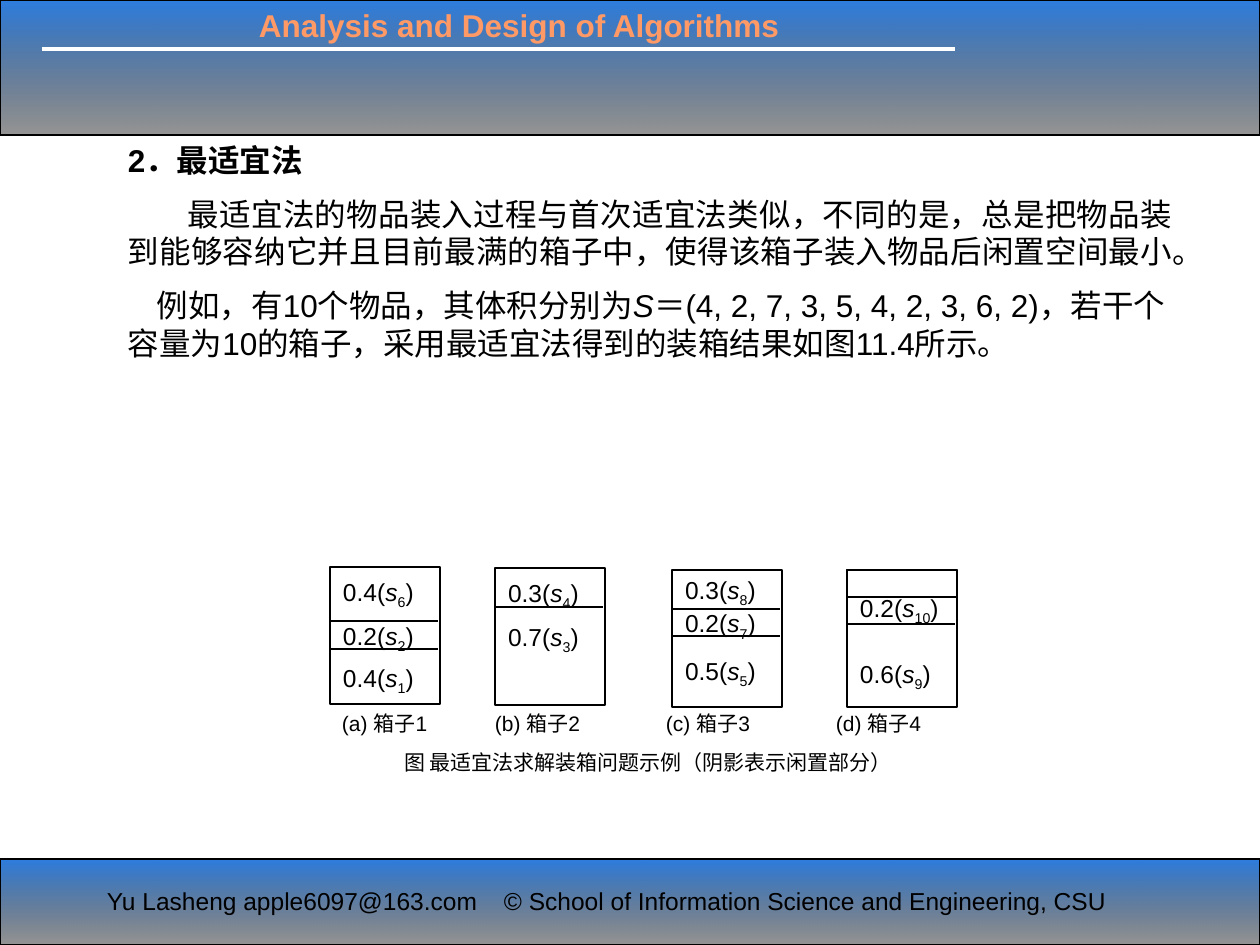
from dataclasses import dataclass
from typing import NamedTuple

from pptx import Presentation, util as u
from pptx.dml.color import RGBColor
from pptx.enum import shapes, text
from pptx.oxml import ns, xmlchemy as x

EMU_PER_PX = 914400 / 126


@dataclass(frozen=True)
class Theme:
    black: str = "000000"
    white: str = "FFFFFF"
    title: str = "FF9966"
    band: tuple = (("0E6BDC", 88), ("000000", 41))
    latin: str = "Arial"
    cjk: str = "Noto Sans CJK SC"
    body: int = 18
    label: int = 14
    caption: int = 12
    rule: float = 2.25
    thin: float = 0.75


class Item(NamedTuple):
    volume: str
    index: str
    gap: float = 0


class Insets(NamedTuple):
    left: int = 13
    top: int = 6
    right: int = 13
    bottom: int = 6


@dataclass(frozen=True)
class Bin:
    x: int
    y: int
    inset: int
    items: tuple[Item, ...]
    dividers: tuple[int, ...]
    free: int = 0


THEME = Theme()
BIN_W, BIN_H = 110, 137
BINS = (
    Bin(330, 567, 10, (Item("0.4", "6", 6), Item("0.2", "2", 5), Item("0.4", "1")), (621, 649)),
    Bin(495, 568, 10, (Item("0.3", "4", 6), Item("0.7", "3")), (607,)),
    Bin(672, 570, 5, (Item("0.3", "8"), Item("0.2", "7", 8), Item("0.5", "5")), (609, 636)),
    Bin(847, 570, 23, (Item("0.2", "10", 18.5), Item("0.6", "9")), (624,), 27),
)
LABEL_TABS = (153, 324, 494)


def px(n: int) -> int:
    return round(n * EMU_PER_PX)


def set_all(target, **values) -> None:
    for name, value in values.items():
        setattr(target, name, value)


def place(sp, left: int, top: int, width: int, height: int) -> None:
    set_all(sp, left=px(left), top=px(top), width=px(width), height=px(height))


def frame(sp, insets: Insets = Insets()):
    tf = sp.text_frame
    set_all(tf, word_wrap=True, auto_size=text.MSO_AUTO_SIZE.NONE,
            vertical_anchor=text.MSO_ANCHOR.TOP,
            margin_left=px(insets.left), margin_top=px(insets.top),
            margin_right=px(insets.right), margin_bottom=px(insets.bottom))
    return tf


def paragraph(tf, first: bool, align=text.PP_ALIGN.LEFT, before: float = 0, after: float = 0):
    p = tf.paragraphs[0] if first else tf.add_paragraph()
    set_all(p, alignment=align, space_before=u.Pt(before), space_after=u.Pt(after))
    return p


def run(p, words: str, size: int, color: str = THEME.black, bold: bool = False,
        italic: bool = False, subscript: bool = False) -> None:
    r = p.add_run()
    r.text = words
    set_all(r.font, name=THEME.latin, size=u.Pt(size), bold=bold, italic=italic)
    r.font.color.rgb = RGBColor.from_string(color)
    props = r._r.get_or_add_rPr()
    if subscript:
        props.set("baseline", "-25000")
    ea = x.OxmlElement("a:ea")
    ea.set("typeface", THEME.cjk)
    props.append(ea)


def rectangle(s, left: int, top: int, width: int, height: int):
    """Add an unfilled rectangle with a thin black outline."""
    sp = s.shapes.add_shape(shapes.MSO_SHAPE.RECTANGLE, 0, 0, 0, 0)
    place(sp, left, top, width, height)
    sp.shadow.inherit = False
    sp.fill.background()
    sp.line.color.rgb = RGBColor.from_string(THEME.black)
    sp.line.width = u.Pt(THEME.thin)
    return sp


def line(s, left: int, right: int, y: int, color: str, weight: float) -> None:
    c = s.shapes.add_connector(shapes.MSO_CONNECTOR.STRAIGHT, px(left), px(y), px(right), px(y))
    c.line.color.rgb = RGBColor.from_string(color)
    c.line.width = u.Pt(weight)
    c._element.spPr.append(x.OxmlElement("a:effectLst"))


def band(s, top: int, height: int) -> None:
    sp = rectangle(s, 0, top, 1260, height)
    sp.fill.gradient()
    sp.fill.gradient_angle = 270
    for stop, (color, _) in zip(sp.fill.gradient_stops, THEME.band):
        stop.color.rgb = RGBColor.from_string(color)
    grad = sp._element.spPr.find(ns.qn("a:gradFill"))
    for node, (_, opacity) in zip(grad.iter(ns.qn("a:srgbClr")), THEME.band):
        alpha = x.OxmlElement("a:alpha")
        alpha.set("val", str(opacity * 1000))
        node.append(alpha)


def text_box(s, left: int, top: int, width: int, height: int, insets: Insets = Insets()):
    return frame(s.shapes.add_textbox(px(left), px(top), px(width), px(height)), insets)


def add_title(s) -> None:
    title = s.shapes.title
    s.shapes._spTree.append(title._element)  # in front of the band
    place(title, 246, 0, 630, 50)
    p = paragraph(frame(title), True)
    run(p, "Analysis and Design of Algorithms", THEME.body, THEME.title, bold=True)


def add_body(s) -> None:
    tf = text_box(s, 115, 135, 1071, 280)
    justify = text.PP_ALIGN.JUSTIFY
    run(paragraph(tf, True, justify), "2．最适宜法", THEME.body, bold=True)
    method = paragraph(tf, False, justify, before=9)
    run(method, "最适宜法的物品装入过程与首次适宜法类似，不同的是，总是把物品装到能够容纳它"
                "并且目前最满的箱子中，使得该箱子装入物品后闲置空间最小。", THEME.body)
    example = paragraph(tf, False, before=9)
    run(example, "例如，有10个物品，其体积分别为", THEME.body)
    run(example, "S", THEME.body, italic=True)
    run(example, "＝(4, 2, 7, 3, 5, 4, 2, 3, 6, 2)，若干个容量为10的箱子，"
                 "采用最适宜法得到的装箱结果如图11.4所示。", THEME.body)
    for p, indent in ((method, 60), (example, 29)):
        p._p.get_or_add_pPr().set("indent", str(px(indent)))


def add_bin(s, b: Bin) -> None:
    tf = frame(rectangle(s, b.x, b.y, BIN_W, BIN_H), Insets(top=b.inset))
    for i, item in enumerate(b.items):
        p = paragraph(tf, i == 0, text.PP_ALIGN.JUSTIFY, after=item.gap)
        run(p, f"{item.volume}(", THEME.label)
        run(p, "s", THEME.label, italic=True)
        run(p, item.index, THEME.label, subscript=True)
        run(p, ")", THEME.label)
    for y in b.dividers:
        line(s, b.x, b.x + BIN_W - 2, y, THEME.black, THEME.thin)
    if b.free:
        rectangle(s, b.x, b.y, BIN_W, b.free)


def add_caption(s) -> None:
    tf = text_box(s, 342, 711, 612, 77, Insets(0, 0, 0, 0))
    labels = paragraph(tf, True)
    tabs = x.OxmlElement("a:tabLst")
    for pos in LABEL_TABS:
        tab = x.OxmlElement("a:tab")
        tab.set("pos", str(px(pos)))
        tab.set("algn", "l")
        tabs.append(tab)
    labels._p.get_or_add_pPr().append(tabs)
    run(labels, "\t".join(f"({c}) 箱子{n}" for n, c in enumerate("abcd", 1)), THEME.caption)
    run(paragraph(tf, False, text.PP_ALIGN.CENTER, before=7.8),
        "图 最适宜法求解装箱问题示例（阴影表示闲置部分）", THEME.caption)


def add_footer(s) -> None:
    for left, width, words in (
        (94, 405, "Yu Lasheng apple6097@163.com"),
        (491, 645, "© School of Information Science and Engineering, CSU"),
    ):
        run(paragraph(text_box(s, left, 880, width, 43), True), words, THEME.label)


def main() -> None:
    prs = Presentation()
    set_all(prs, slide_width=px(1260), slide_height=px(945))
    s = prs.slides.add_slide(prs.slide_layouts[5])
    band(s, 0, 135)
    band(s, 859, 86)
    line(s, 42, 955, 49, THEME.white, THEME.rule)
    add_title(s)
    add_footer(s)
    add_body(s)
    for b in BINS:
        add_bin(s, b)
    add_caption(s)
    prs.save("out.pptx")


if __name__ == "__main__":
    main()
